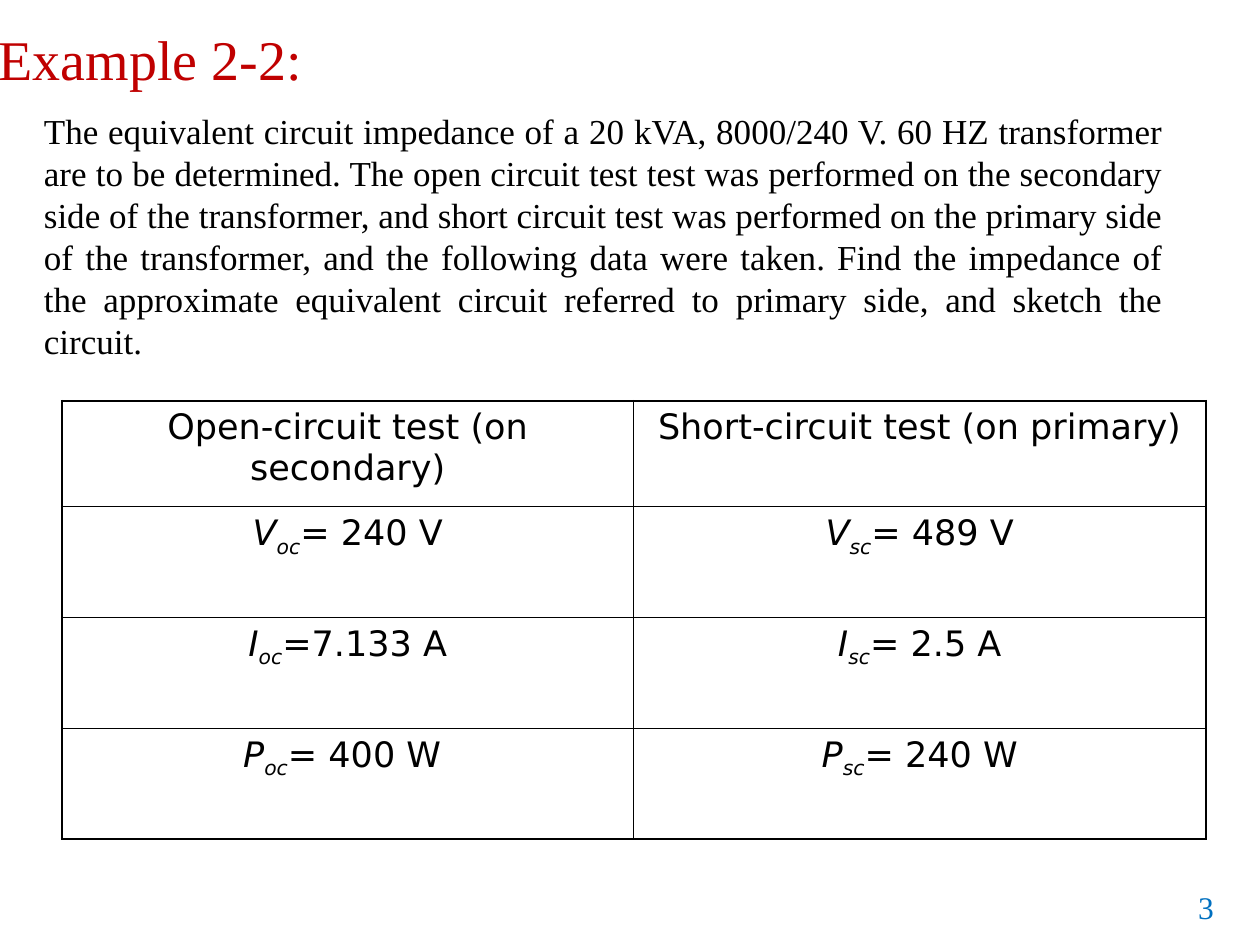
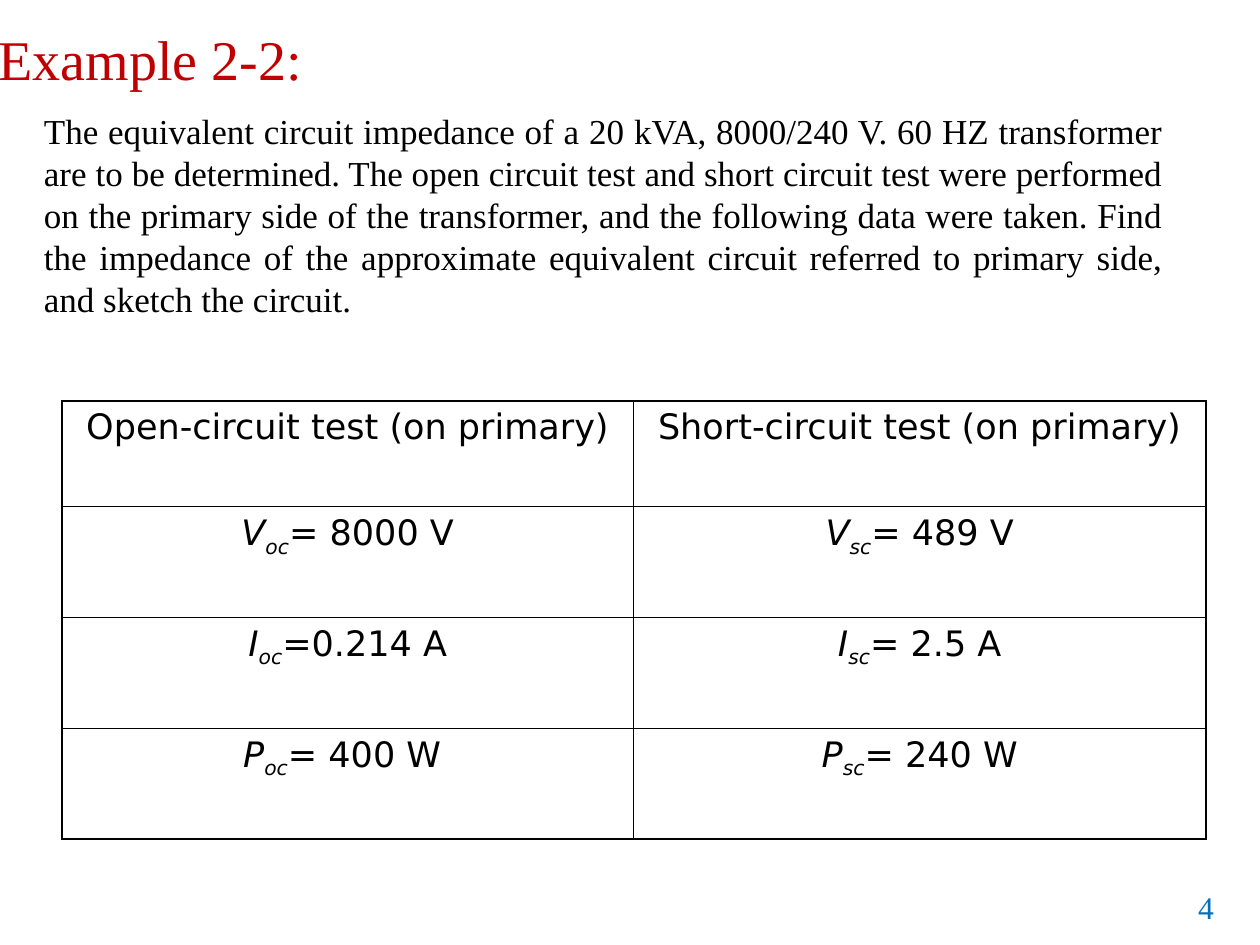
from pptx import Presentation
from pptx.dml.color import RGBColor
from pptx.enum.text import MSO_ANCHOR as Anchor, PP_ALIGN as Align
from pptx.oxml import parse_xml
from pptx.oxml.ns import nsdecls
from pptx.util import Inches, Pt

RED = RGBColor(0xC0, 0x00, 0x00)
BLUE = RGBColor(0x00, 0x70, 0xC0)
BLACK = RGBColor(0x00, 0x00, 0x00)
SERIF = "Times New Roman"
SANS = "DejaVu Sans"
OUTER_LINE = Pt(1.08)
INNER_LINE = Pt(0.45)
TITLE_ONLY = 5

SYMBOLS = ["V", "I", "P"]
SHORT_CIRCUIT = ("Short-circuit test (on primary)", "sc", ["= 489 V", "= 2.5 A", "= 240 W"])

EXAMPLES = [
    (
        "3",
        "The equivalent circuit impedance of a 20 kVA, 8000/240 V. 60 HZ transformer are to be "
        "determined. The open circuit test test was performed on the secondary side of the "
        "transformer, and short circuit test was performed on the primary side of the "
        "transformer, and the following data were taken. Find the impedance of the approximate "
        "equivalent circuit referred to primary side, and sketch the circuit.",
        ("Open-circuit test (on secondary)", "oc", ["= 240 V", "=7.133 A", "= 400 W "]),
    ),
    (
        "4",
        "The equivalent circuit impedance of a 20 kVA, 8000/240 V. 60 HZ transformer are to be "
        "determined. The open circuit test and short circuit test were performed on the primary "
        "side of the transformer, and the following data were taken. Find the impedance of the "
        "approximate equivalent circuit referred to primary side, and sketch the circuit.",
        ("Open-circuit test (on primary)", "oc", ["= 8000 V", "=0.214 A", "= 400 W "]),
    ),
]


class ExampleDeck:
    def __init__(self):
        self.presentation = Presentation()
        self.presentation.slide_width = Inches(10)
        self.presentation.slide_height = Inches(7.5)
        self.slide = None

    def add_slide(self):
        layout = self.presentation.slide_layouts[TITLE_ONLY]
        self.slide = self.presentation.slides.add_slide(layout)

    def format(self, paragraph, size, font_name, color, alignment=Align.LEFT):
        paragraph.alignment = alignment
        paragraph.font.size = Pt(size)
        paragraph.font.name = font_name
        paragraph.font.color.rgb = color

    def add_title(self, text):
        title = self.slide.shapes.title
        title.left, title.top = Inches(-0.11), Inches(0.11)
        title.width, title.height = Inches(2.94), Inches(0.71)
        title.text_frame.text = text
        title.text_frame.vertical_anchor = Anchor.MIDDLE
        self.format(title.text_frame.paragraphs[0], 32, SERIF, RED)

    def add_text(self, text, left, top, width, height):
        box = self.slide.shapes.add_textbox(Inches(left), Inches(top), Inches(width), Inches(height))
        box.text_frame.word_wrap = True
        box.text_frame.text = text
        return box.text_frame.paragraphs[0]

    def add_problem(self, text):
        paragraph = self.add_text(text, 0.25, 0.82, 9.08, 2.33)
        self.format(paragraph, 20, SERIF, BLACK, Align.JUSTIFY)
        paragraph.line_spacing = Pt(24)

    def add_page_number(self, number):
        paragraph = self.add_text(number, 9.41, 7, 0.59, 0.5)
        self.format(paragraph, 18, SERIF, BLUE)

    def add_quantity(self, paragraph, symbol, subscript, value):
        for text, italic in ((symbol, True), (subscript, True), (value, False)):
            run = paragraph.add_run()
            run.text = text
            run.font.italic = italic
            if text == subscript:
                run._r.get_or_add_rPr().set("baseline", "-25000")

    def add_borders(self, cell, outer_sides):
        properties = cell._tc.get_or_add_tcPr()
        for side in "LRTB":
            width = OUTER_LINE if side in outer_sides else INNER_LINE
            properties.append(parse_xml(
                f'<a:ln{side} {nsdecls("a")} w="{int(width)}"><a:solidFill>'
                f'<a:srgbClr val="{BLACK}"/></a:solidFill></a:ln{side}>'
            ))

    def add_test_table(self, tests):
        row_count = len(SYMBOLS) + 1
        table = self.slide.shapes.add_table(
            row_count, len(tests), Inches(0.49), Inches(3.18), Inches(9.08), Inches(3.48)
        ).table
        table.first_row = table.horz_banding = False
        for index, row in enumerate(table.rows):
            row.height = Inches(0.88 if index else 0.84)
        for column, (heading, subscript, values) in enumerate(tests):
            table.columns[column].width = Inches(4.54)
            for row in range(row_count):
                cell = table.cell(row, column)
                paragraph = cell.text_frame.paragraphs[0]
                if row == 0:
                    paragraph.text = heading
                else:
                    self.add_quantity(paragraph, SYMBOLS[row - 1], subscript, values[row - 1])
                self.format(paragraph, 20, SANS, BLACK, Align.CENTER)
                outer_sides = "L" if column == 0 else "R"
                outer_sides += {0: "T", row_count - 1: "B"}.get(row, "")
                self.add_borders(cell, outer_sides)
                cell.fill.background()


def main():
    deck = ExampleDeck()
    for number, problem, open_circuit in EXAMPLES:
        deck.add_slide()
        deck.add_title("Example 2-2:")
        deck.add_problem(problem)
        deck.add_test_table([open_circuit, SHORT_CIRCUIT])
        deck.add_page_number(number)
    deck.presentation.save("out.pptx")


if __name__ == "__main__":
    main()
